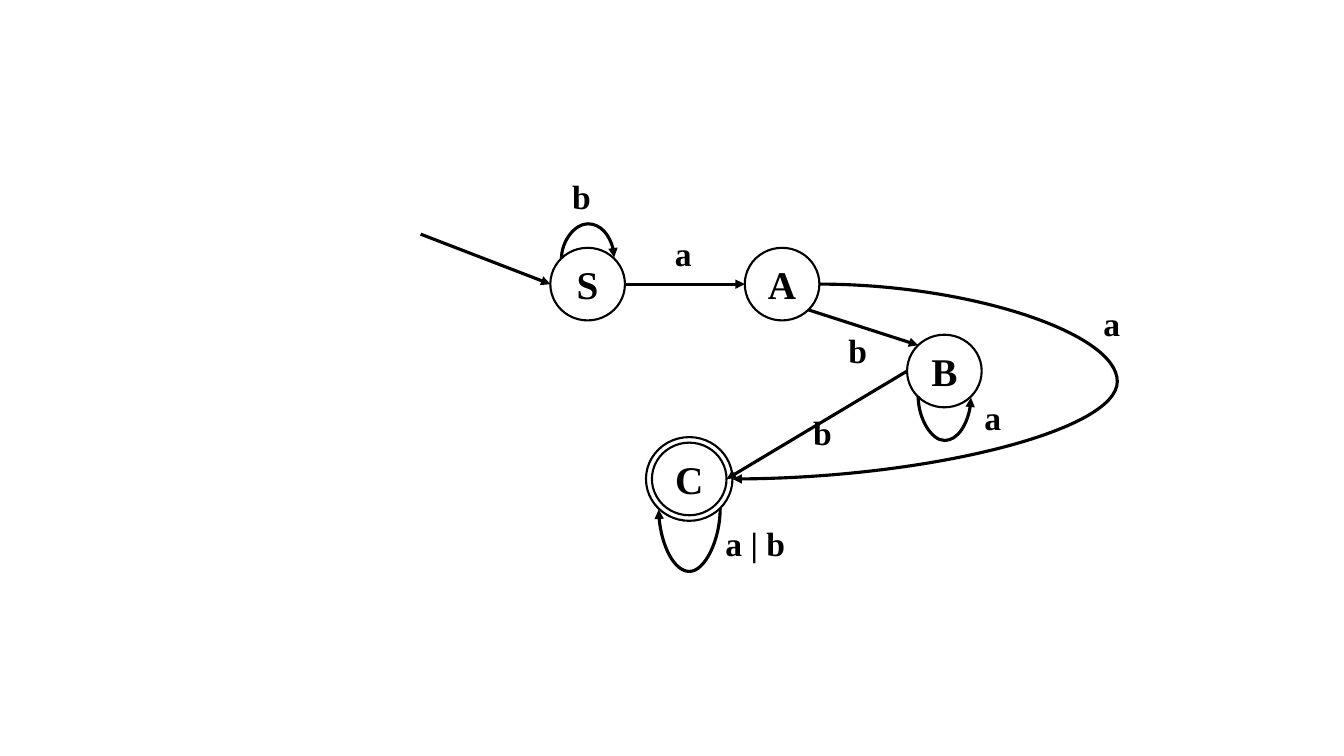
"""Draw the state diagram of a finite automaton over a and b."""
from lxml import etree
from pptx import Presentation
from pptx.dml.color import RGBColor
from pptx.enum.shapes import MSO_CONNECTOR, MSO_SHAPE
from pptx.enum.text import MSO_ANCHOR, PP_ALIGN
from pptx.oxml.ns import qn
from pptx.util import Cm, Pt

BLACK = RGBColor(0, 0, 0)
FONT = "Times New Roman"
OVAL = MSO_SHAPE.OVAL
STRAIGHT, CURVE = MSO_CONNECTOR.STRAIGHT, MSO_CONNECTOR.CURVE
CENTER, MIDDLE = PP_ALIGN.CENTER, MSO_ANCHOR.MIDDLE

STATE_SIZE = (1.88, 1.83)
FINAL_RING_SIZE = (2.18, 2.11)
STATES = {
    "S": (14.81, 7.16),
    "A": (19.71, 7.16),
    "C": (17.37, 12.07),
    "B": (23.8, 9.35),
}
LABELS = [
    ("a", 16.76, 5.74, 1.5),
    ("a | b", 18.03, 13.06, 2.03),
    ("b", 14.17, 4.32, 1.5),
    ("a", 24.56, 9.88, 1.5),
    ("b", 20.24, 10.26, 1.5),
    ("b", 21.13, 8.18, 1.5),
    ("a", 27.56, 7.52, 1.5),
]


def write(frame, text, size):
    """Put bold black text into a text frame."""
    frame.text = text
    font = frame.paragraphs[0].runs[0].font
    font.name, font.size, font.bold = FONT, Pt(size), True
    font.color.rgb = BLACK


def add_circle(slide, center, size):
    """Add an unfilled outline around a centre point."""
    (x, y), (width, height) = center, size
    circle = slide.shapes.add_shape(
        OVAL, Cm(x - width / 2), Cm(y - height / 2), Cm(width), Cm(height))
    circle.shadow.inherit = False
    circle.fill.background()
    circle.line.color.rgb = BLACK
    circle.line.width = Pt(1.5)
    return circle


def add_state(slide, name, center):
    """Add a named state."""
    frame = add_circle(slide, center, STATE_SIZE).text_frame
    write(frame, name, 28)
    frame.word_wrap = False
    frame.vertical_anchor = MIDDLE
    frame.paragraphs[0].alignment = CENTER


def add_label(slide, text, left, top, width):
    """Add the input symbol of a transition."""
    box = slide.shapes.add_textbox(Cm(left), Cm(top), Cm(width), Cm(1.27))
    box.text_frame.word_wrap = True
    write(box.text_frame, text, 24)


def add_arrow(slide, start, end, kind=STRAIGHT):
    """Add a transition arrow between two points."""
    arrow = slide.shapes.add_connector(kind, *map(Cm, start + end))
    arrow.line.color.rgb = BLACK
    arrow.line.width = Pt(2.25)
    etree.SubElement(arrow.line._get_or_add_ln(), qn("a:tailEnd"), type="triangle")
    etree.SubElement(arrow._element.spPr, qn("a:effectLst"))
    return arrow


def set_bend(arrow, ratio):
    """Place the bend of a curve as a ratio of its length."""
    adjustments = arrow._element.spPr.find(qn("a:prstGeom")).get_or_add_avLst()
    etree.SubElement(adjustments, qn("a:gd"), name="adj1",
                     fmla=f"val {round(ratio * 100000)}")


def add_side_curve(slide, start, end, peak):
    """Add a curve that bulges sideways to the x position peak."""
    arrow = add_arrow(slide, start, end, CURVE)
    set_bend(arrow, (peak - start[0]) / (end[0] - start[0]))


def add_loop(slide, start, end, peak):
    """Add a quarter-turned curve that reaches the y position peak."""
    (x1, y1), (x2, y2) = start, end
    mid_x, mid_y = (x1 + x2) / 2, (y1 + y2) / 2
    half_run, half_rise = (x2 - x1) / 2, (y2 - y1) / 2
    arrow = add_arrow(slide, (mid_x - half_rise, mid_y + half_run),
                      (mid_x + half_rise, mid_y - half_run), CURVE)
    arrow._element.spPr.find(qn("a:xfrm")).set("rot", "5400000")
    set_bend(arrow, (peak - y1) / (y2 - y1))


def main():
    """Build and save the slide."""
    deck = Presentation()
    deck.slide_width, deck.slide_height = Cm(33.87), Cm(19.05)
    slide = deck.slides.add_slide(deck.slide_layouts[6])

    for name, center in STATES.items():
        add_state(slide, name, center)
    add_circle(slide, STATES["C"], FINAL_RING_SIZE)

    add_arrow(slide, (10.6, 5.9), (13.87, 7.16))
    add_arrow(slide, (15.75, 7.16), (18.77, 7.16))
    add_arrow(slide, (20.38, 7.81), (23.14, 8.7))
    add_arrow(slide, (22.86, 9.35), (18.31, 12.07))

    add_side_curve(slide, (20.65, 7.16), (18.46, 12.07), 28.16)
    add_loop(slide, (14.15, 6.52), (15.48, 6.49), 5.64)
    add_loop(slide, (23.14, 9.99), (24.47, 10.02), 11.1)
    add_loop(slide, (18.15, 12.81), (16.6, 12.84), 14.4)

    for label in LABELS:
        add_label(slide, *label)
    deck.save("out.pptx")


if __name__ == "__main__":
    main()
